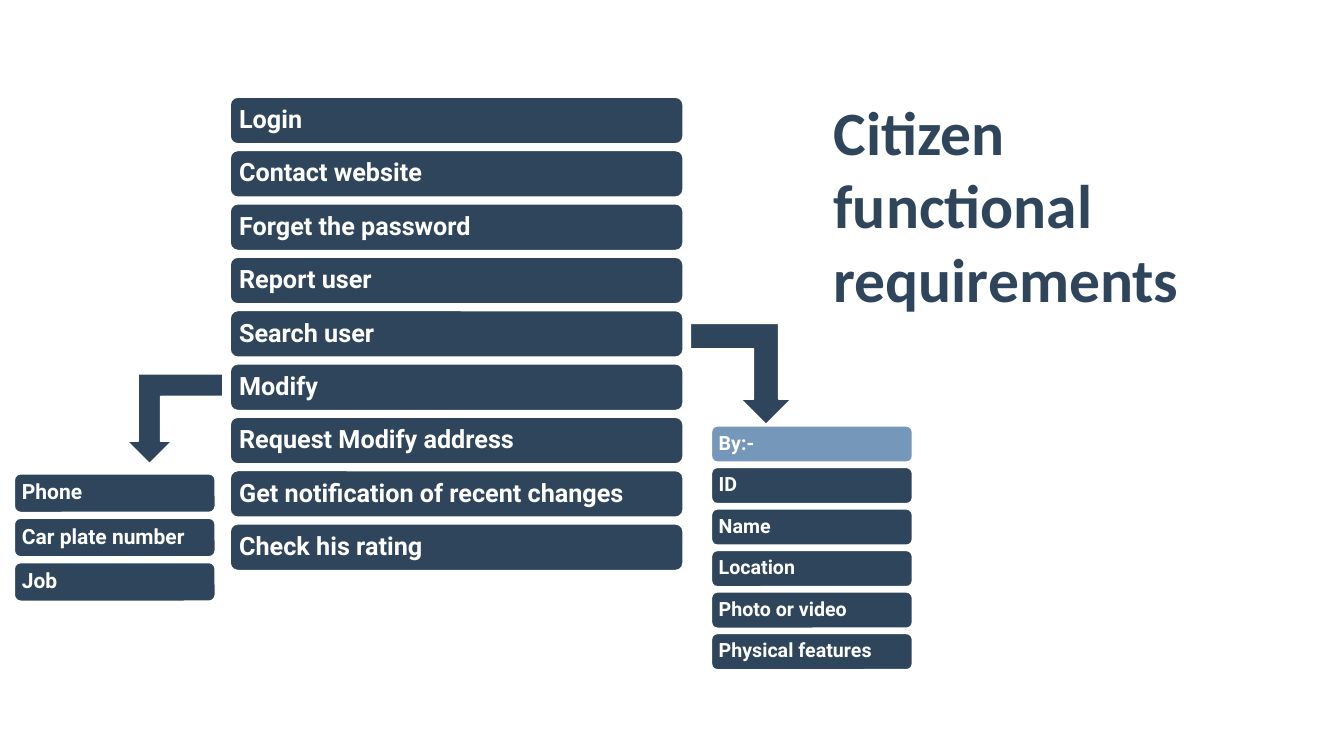
"""Build the slide of citizen functional requirements."""
import pptx
import pptx.dml.color
import pptx.enum.shapes
import pptx.enum.text
import pptx.util
from dataclasses import dataclass

Pt = pptx.util.Pt
RGB = pptx.dml.color.RGBColor.from_string
SHAPES = pptx.enum.shapes.MSO_SHAPE
ALIGN = pptx.enum.text.PP_ALIGN
MIDDLE = pptx.enum.text.MSO_ANCHOR.MIDDLE


@dataclass(frozen=True)
class Theme:
    navy: str = "2E455C"
    light_blue: str = "7597BA"
    white: str = "FFFFFF"
    title_font: str = "Calibri"
    label_font: str = "Roboto"
    title_size: float = 44
    requirement_size: float = 18
    modify_size: float = 15
    search_size: float = 14


def apply(target, values):
    for name, value in values.items():
        setattr(target, name, value)


class RequirementsSlide:
    def __init__(self, deck, theme):
        self.theme = theme
        self.slide = deck.slides.add_slide(deck.slide_layouts[5])

    def label(self, frame, text, margin, font, size, color, line_spacing):
        apply(frame, {
            "word_wrap": True, "vertical_anchor": MIDDLE,
            "margin_left": Pt(margin), "margin_right": Pt(margin),
            "margin_top": Pt(margin), "margin_bottom": Pt(margin),
        })
        paragraph = frame.paragraphs[0]
        apply(paragraph, {"alignment": ALIGN.LEFT, "line_spacing": line_spacing})
        run = paragraph.add_run()
        run.text = text
        apply(run.font, {"name": font, "size": Pt(size), "bold": True})
        run.font.color.rgb = RGB(color)

    def title(self, text, left, top, width, height):
        heading = self.slide.shapes.title
        apply(heading, {"left": Pt(left), "top": Pt(top),
                        "width": Pt(width), "height": Pt(height)})
        self.label(heading.text_frame, text, 7.2, self.theme.title_font,
                   self.theme.title_size, self.theme.navy, Pt(52.5))

    def block(self, preset, left, top, width, height, fill, outline):
        block = self.slide.shapes.add_shape(
            preset, Pt(left), Pt(top), Pt(width), Pt(height))
        block.shadow.inherit = False
        block.fill.solid()
        block.fill.fore_color.rgb = RGB(fill)
        block.line.color.rgb = RGB(self.theme.white)
        block.line.width = Pt(outline)
        return block

    def bar_list(self, labels, left, top, width, height, pitch, size, margin,
                 first_fill=None):
        for row, label in enumerate(labels):
            fill = first_fill if first_fill and row == 0 else self.theme.navy
            bar = self.block(SHAPES.ROUNDED_RECTANGLE, left, top + row * pitch,
                             width, height, fill, 1.5)
            self.label(bar.text_frame, label, margin, self.theme.label_font,
                       size, self.theme.white, 0.9)

    def bent_arrow(self, left, top, width, height, rotation, mirrored=False):
        arrow = self.block(SHAPES.BENT_ARROW, left, top, width, height,
                           self.theme.navy, 1)
        arrow.rotation = rotation
        arrow.adjustments[3] = 0
        if mirrored:
            arrow._element.spPr.xfrm.set("flipH", "1")


def main():
    theme = Theme()
    deck = pptx.Presentation()
    apply(deck, {"slide_width": Pt(960), "slide_height": Pt(540)})
    citizen = RequirementsSlide(deck, theme)
    citizen.title("Citizen functional requirements", 588.2, 60.5, 324, 170.6)
    citizen.bar_list(
        ["Login", "Contact website", "Forget the password", "Report user",
         "Search user", "Modify", "Request Modify address",
         "Get notification of recent changes", "Check his rating"],
        164.2, 69.2, 324, 33.8, 38.1, theme.requirement_size, 5)
    citizen.bent_arrow(493.2, 231.1, 72, 72, 90)
    citizen.bent_arrow(92.9, 265, 64, 68.4, 270, mirrored=True)
    citizen.bar_list(["Phone", "Car plate number", "Job"],
                     10, 338.2, 144, 28.1, 31.7, theme.modify_size, 4.3)
    citizen.bar_list(
        ["By:-", "ID", "Name", "Location", "Photo or video",
         "Physical features"],
        508, 304, 144, 26.4, 29.65, theme.search_size, 4.1,
        first_fill=theme.light_blue)
    deck.save("out.pptx")


if __name__ == "__main__":
    main()
